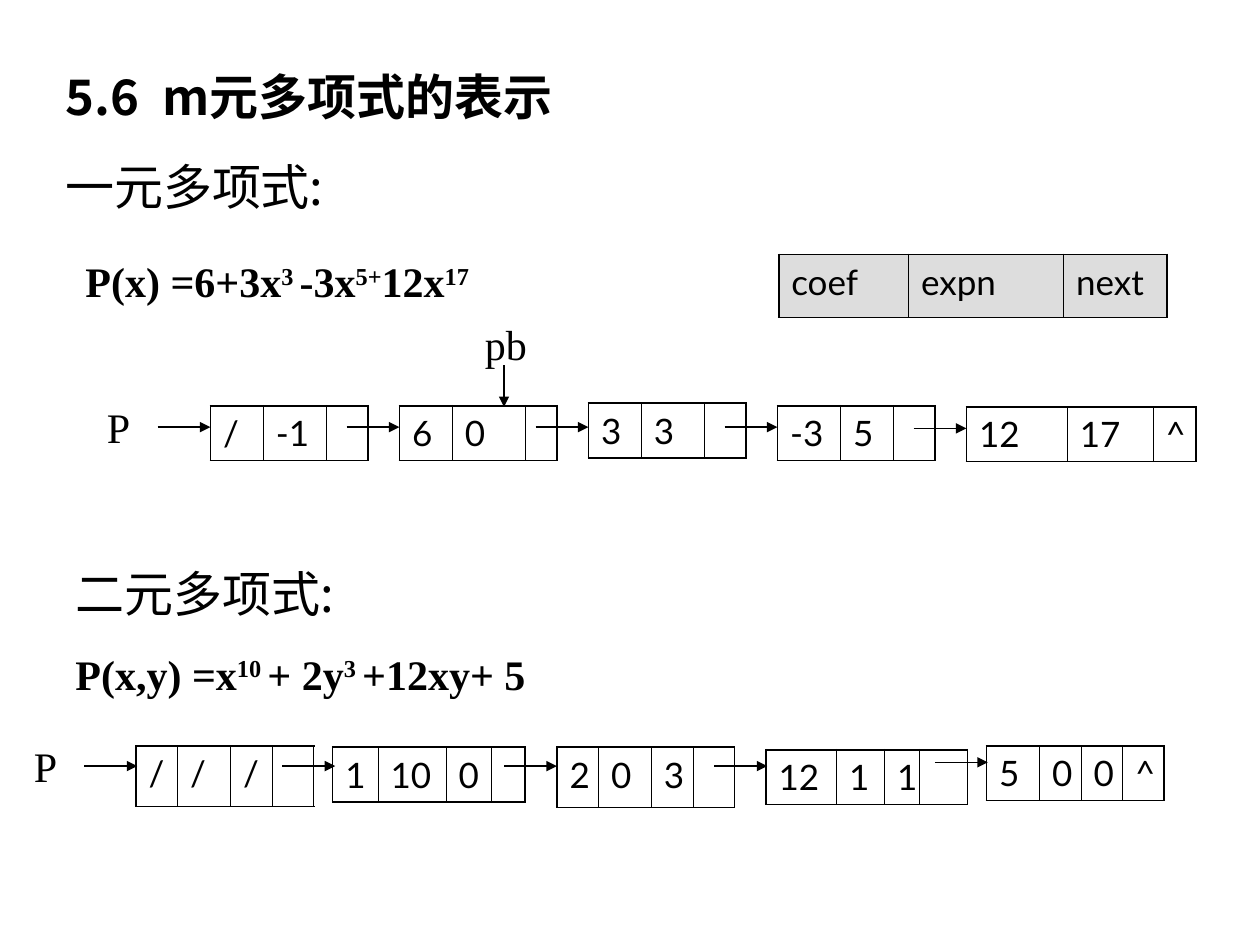
from lxml.etree import SubElement, Element
from pptx import Presentation
from pptx.dml.color import RGBColor
from pptx.enum.shapes import MSO_CONNECTOR as Link
from pptx.enum.text import MSO_AUTO_SIZE as Fit
from pptx.oxml.ns import qn
from pptx.util import Inches, Pt

BLACK = RGBColor(0x00, 0x00, 0x00)
GRAY = RGBColor(0xDD, 0xDD, 0xDD)
HAN, SERIF, SANS = "Noto Sans CJK SC", "Times New Roman", "Lato"
THICK, THIN = 1.08, 0.45


def write(par, text, size=24, font=SERIF, bold=False, before=0, tab=None):
    """Fill a paragraph; every second piece between bars is superscript."""
    if tab:
        stops = SubElement(par._p.get_or_add_pPr(), qn("a:tabLst"))
        SubElement(stops, qn("a:tab"), pos=str(Inches(tab)), algn="l")
    par.space_before = Pt(before)
    for i, piece in enumerate(text.split("|")):
        run = par.add_run()
        run.text = piece
        run.font.size, run.font.bold = Pt(size), bold
        run.font.name, run.font.color.rgb = font, BLACK
        props = run.font._element
        SubElement(props, qn("a:ea"), typeface=font)
        if i % 2:
            props.set("baseline", "30000")


def edge(cell, rank, side, width):
    line = Element(qn("a:ln" + side), w=str(Pt(width)))
    fill = SubElement(line, qn("a:solidFill"))
    SubElement(fill, qn("a:srgbClr"), val=str(BLACK))
    cell._tc.get_or_add_tcPr().insert(rank, line)


class Sheet:
    def __init__(self, slide):
        self.shapes = slide.shapes

    def text(self, left, top, width, height, *items):
        box = self.shapes.add_textbox(Inches(left), Inches(top), Inches(width), Inches(height))
        frame = box.text_frame
        frame.word_wrap, frame.auto_size = True, Fit.SHAPE_TO_FIT_TEXT
        for i, (words, style) in enumerate(items):
            par = frame.add_paragraph() if i else frame.paragraphs[0]
            write(par, words, **style)

    def arrow(self, x, y, dx=0.42, dy=0):
        line = self.shapes.add_connector(
            Link.STRAIGHT, Inches(x), Inches(y), Inches(x + dx), Inches(y + dy))
        line.line.color.rgb, line.line.width = BLACK, Pt(0.75)
        props = line._element.spPr
        SubElement(props.find(qn("a:ln")), qn("a:tailEnd"), type="triangle")
        SubElement(props, qn("a:effectLst"))

    def node(self, left, top, height, widths, words, fill=None):
        last = len(widths) - 1
        table = self.shapes.add_table(
            1, last + 1, Inches(left), Inches(top), Inches(sum(widths)), Inches(height)).table
        table.first_row = table.horz_banding = False
        table.rows[0].height = Inches(height)
        for i, (width, word) in enumerate(zip(widths, words)):
            table.columns[i].width = Inches(width)
            cell = table.cell(0, i)
            if fill is None:
                cell.fill.background()
            else:
                cell.fill.solid()
                cell.fill.fore_color.rgb = fill
            sides = (("L", THIN if i else THICK), ("R", THIN if i < last else THICK),
                     ("T", THICK), ("B", THICK))
            for rank, (side, weight) in enumerate(sides):
                edge(cell, rank, side, weight)
            if word:
                write(cell.text_frame.paragraphs[0], word, size=20, font=SANS)


def main():
    deck = Presentation()
    deck.slide_width, deck.slide_height = Inches(10), Inches(7.5)
    sheet = Sheet(deck.slides.add_slide(deck.slide_layouts[6]))
    head = dict(size=28, font=HAN)

    # Title, headings and formulas
    sheet.text(0.42, 0.48, 8.5, 1.28,
               ("5.6\tm元多项式的表示", dict(head, bold=True, tab=0.77)),
               ("一元多项式:", dict(head, before=17.5)))
    sheet.text(0.58, 1.98, 4.17, 0.56,
               ("P(x) =6+3x|3 |-3x|5+|12x|17", dict(bold=True)))
    sheet.text(0.5, 4.42, 8.92, 1.23,
               ("二元多项式:", head),
               ("P(x,y) =x|10 |+ 2y|3 |+12xy+ 5", dict(bold=True, before=15)))

    # Pointer names
    for x, y, name in ((0.75, 3.14, "P"), (3.75, 2.48, "pb"), (0.17, 5.83, "P")):
        sheet.text(x, y, 0.67, 0.5, (name, {}))

    # Node layout legend
    sheet.node(6.18, 2.02, 0.5, (1.03, 1.23, 0.82), ("coef", "expn", "next"), GRAY)

    # Nodes of both lists
    nodes = (
        (1.67, 3.22, 0.43, (0.42, 0.5, 0.33), ("/", "-1", "")),
        (3.17, 3.22, 0.43, (0.42, 0.58, 0.25), ("6", "0", "")),
        (4.67, 3.2, 0.43, (0.42, 0.5, 0.33), ("3", "3", "")),
        (6.17, 3.22, 0.43, (0.5, 0.42, 0.33), ("-3", "5", "")),
        (7.67, 3.23, 0.43, (0.8, 0.68, 0.34), ("12", "17", "^")),
        (1.08, 5.92, 0.48, (0.33, 0.42, 0.33, 0.33), ("/", "/", "/", "")),
        (2.64, 5.93, 0.43, (0.36, 0.54, 0.36, 0.27), ("1", "10", "0", "")),
        (4.42, 5.93, 0.48, (0.33, 0.42, 0.33, 0.33), ("2", "0", "3", "")),
        (6.08, 5.95, 0.43, (0.56, 0.38, 0.28, 0.38), ("12", "1", "1", "")),
        (7.83, 5.92, 0.43, (0.42, 0.33, 0.33, 0.33), ("5", "0", "0", "^")),
    )
    for node in nodes:
        sheet.node(*node)

    # Links between nodes, then the pb pointer
    for i in range(4):
        sheet.arrow(1.25 + 1.5 * i, 3.39)
    sheet.arrow(7.25, 3.4)
    for x in (0.67, 2.24, 4, 5.67):
        sheet.arrow(x, 6.08)
    sheet.arrow(7.42, 6.05)
    sheet.arrow(4, 2.9, dx=0, dy=0.33)

    deck.save("out.pptx")


if __name__ == "__main__":
    main()
